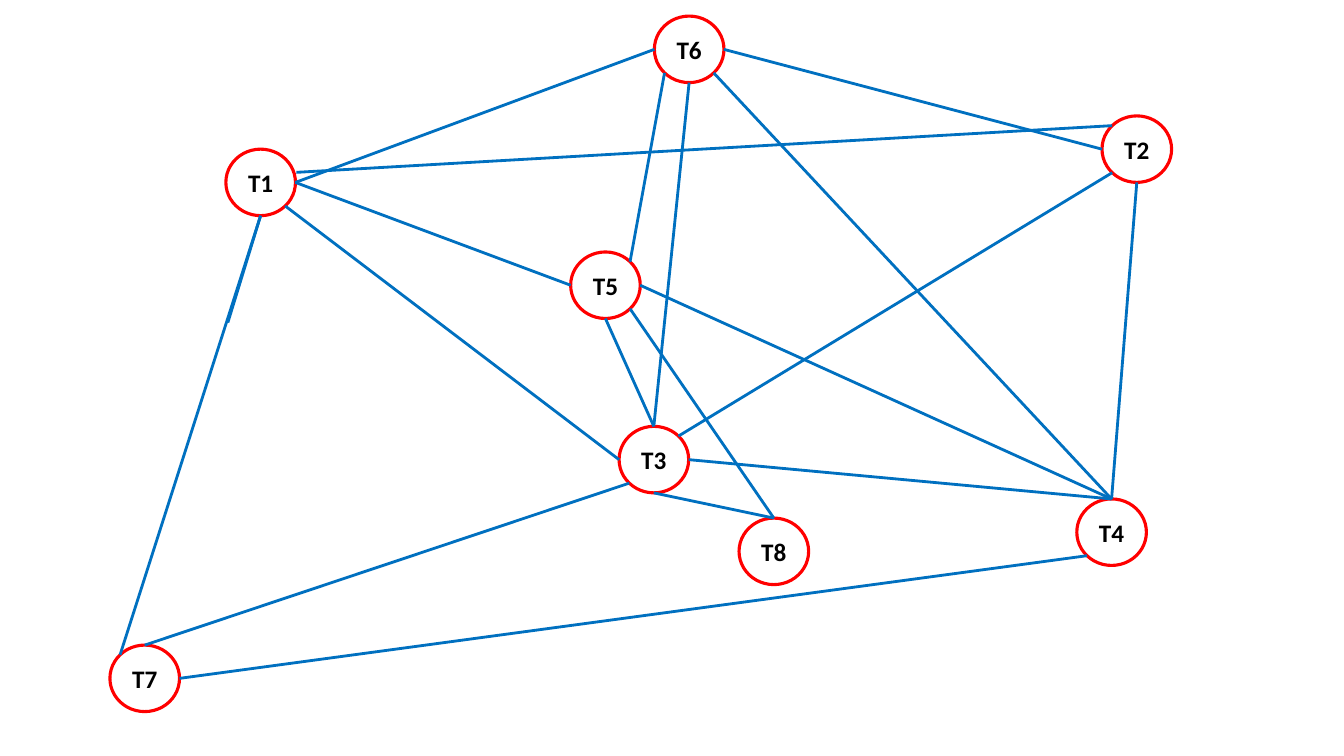
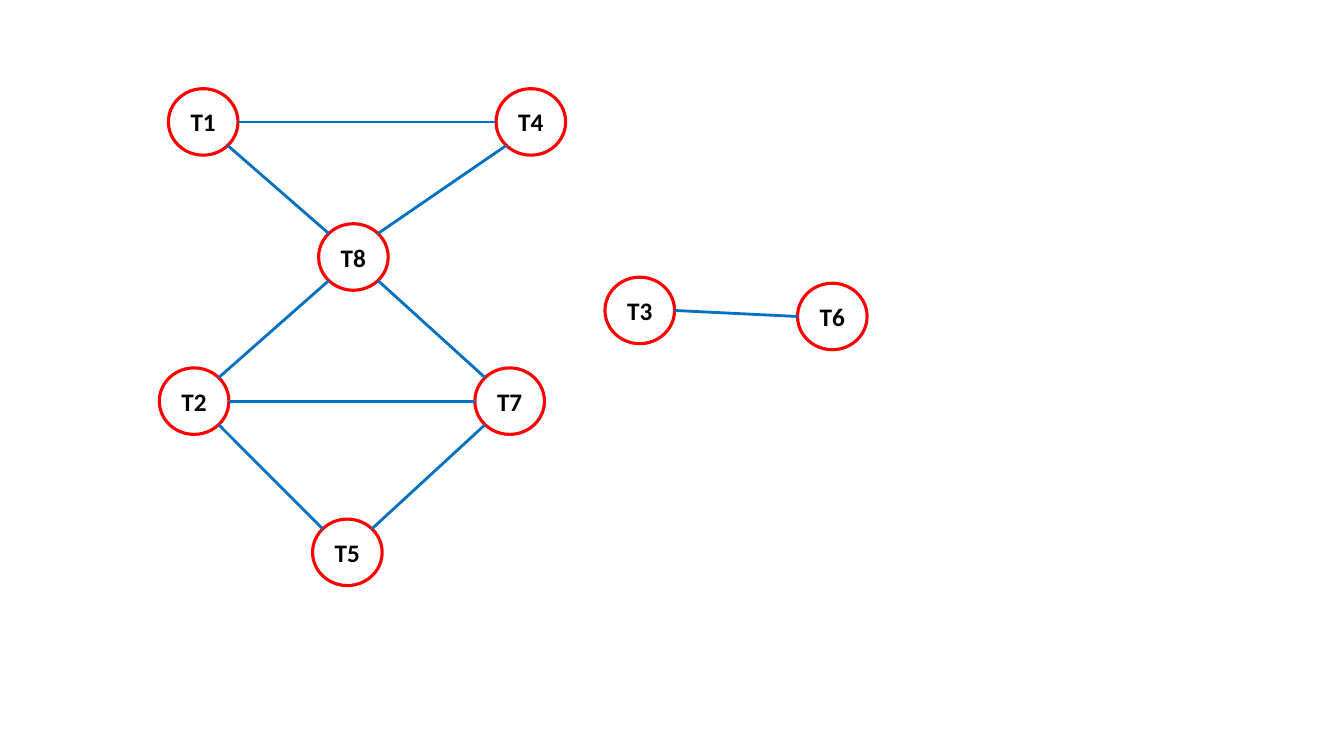
from dataclasses import dataclass
from math import sqrt

from lxml.etree import SubElement
from pptx import Presentation
from pptx.dml.color import RGBColor
from pptx.enum.shapes import MSO_CONNECTOR, MSO_SHAPE
from pptx.enum.text import MSO_ANCHOR, PP_ALIGN
from pptx.oxml.ns import qn
from pptx.util import Inches, Pt


@dataclass(frozen=True)
class Theme:
    ring: RGBColor = RGBColor(0xFF, 0x00, 0x00)
    edge: RGBColor = RGBColor(0x00, 0x70, 0xC0)
    ink: RGBColor = RGBColor(0x00, 0x00, 0x00)
    font: str = "Calibri"
    label_size: float = 18
    ring_width: float = 2.25
    edge_width: float = 2
    node_width: float = 0.69
    node_height: float = 0.66


# Ellipse connection sites: index and direction from the centre
DIAGONAL = sqrt(0.5)
SITES = {
    "top": (0, 0, -1),
    "top left": (1, -DIAGONAL, -DIAGONAL),
    "left": (2, -1, 0),
    "bottom left": (3, -DIAGONAL, DIAGONAL),
    "bottom": (4, 0, 1),
    "bottom right": (5, DIAGONAL, DIAGONAL),
    "right": (6, 1, 0),
    "top right": (7, DIAGONAL, -DIAGONAL),
}


def write_text(shape, text, *, font, size, color, bold=False, align=PP_ALIGN.CENTER):
    frame = shape.text_frame
    frame.word_wrap = False
    frame.vertical_anchor = MSO_ANCHOR.MIDDLE
    para = frame.paragraphs[0]
    para.alignment = align
    span = para.add_run()
    span.text = text
    span.font.name = font
    span.font.size = Pt(size)
    span.font.bold = bold
    span.font.color.rgb = color


class GraphDeck:
    def __init__(self, theme):
        self.theme = theme
        self.deck = Presentation()
        self.deck.slide_width = Inches(13.33)
        self.deck.slide_height = Inches(7.5)

    def add_page(self):
        self.page = self.deck.slides.add_slide(self.deck.slide_layouts[6])
        self.nodes = {}

    def add_node(self, name, left, top):
        theme = self.theme
        node = self.page.shapes.add_shape(
            MSO_SHAPE.OVAL, Inches(left), Inches(top),
            Inches(theme.node_width), Inches(theme.node_height))
        node.shadow.inherit = False
        node.fill.background()
        node.line.color.rgb = theme.ring
        node.line.width = Pt(theme.ring_width)
        write_text(node, name, font=theme.font, size=theme.label_size,
                   color=theme.ink, bold=True)
        self.nodes[name] = node

    def locate(self, end):
        """Return x and y for a (node, site) pair or a free point in inches."""
        if end[0] not in self.nodes:
            return Inches(end[0]), Inches(end[1])
        node = self.nodes[end[0]]
        _, across, down = SITES[end[1]]
        return (round(node.left + node.width * (1 + across) / 2),
                round(node.top + node.height * (1 + down) / 2))

    def add_edge(self, start, finish):
        edge = self.page.shapes.add_connector(
            MSO_CONNECTOR.STRAIGHT, *self.locate(start), *self.locate(finish))
        edge.line.color.rgb = self.theme.edge
        edge.line.width = Pt(self.theme.edge_width)
        SubElement(edge._element.spPr, qn("a:effectLst"))
        # Attach the ends that sit on a node
        links = edge._element.find(".//" + qn("p:cNvCxnSpPr"))
        for tag, end in (("a:stCxn", start), ("a:endCxn", finish)):
            if end[0] in self.nodes:
                SubElement(links, qn(tag), id=str(self.nodes[end[0]].shape_id),
                           idx=str(SITES[end[1]][0]))

    def add_graph(self, nodes, edges):
        self.add_page()
        for name, (left, top) in nodes.items():
            self.add_node(name, left, top)
        for start, finish in edges:
            self.add_edge(start, finish)


# Dense graph
DENSE_NODES = {
    "T8": (7.33, 5.14), "T3": (6.14, 4.23), "T2": (10.93, 1.15), "T4": (10.68, 4.95),
    "T6": (6.49, 0.16), "T7": (1.09, 6.4), "T5": (5.66, 2.5), "T1": (2.24, 1.48),
}
DENSE_EDGES = [
    (("T1", "bottom"), (2.26, 3.2)),
    (("T1", "bottom right"), ("T3", "left")),
    (("T1", "right"), ("T5", "left")),
    (("T1", "right"), ("T6", "left")),
    (("T1", "bottom"), ("T7", "top left")),
    (("T3", "right"), ("T4", "top")),
    (("T3", "bottom left"), ("T7", "top")),
    (("T3", "bottom"), ("T8", "top")),
    (("T3", "top"), ("T5", "bottom")),
    ((2.94, 1.71), ("T2", "top left")),
    (("T2", "left"), ("T6", "right")),
    (("T2", "bottom"), ("T4", "top")),
    (("T2", "bottom left"), ("T3", "top right")),
    (("T3", "top"), ("T6", "bottom")),
    (("T6", "bottom right"), ("T4", "top")),
    (("T5", "right"), ("T4", "top")),
    (("T7", "right"), ("T4", "bottom left")),
    (("T5", "top right"), ("T6", "bottom left")),
    (("T8", "top"), ("T5", "bottom right")),
]

# Graph in two separate parts
SPLIT_NODES = {
    "T8": (3.16, 2.22), "T3": (6, 2.75), "T2": (1.58, 3.65), "T4": (4.92, 0.88),
    "T6": (7.91, 2.81), "T7": (4.71, 3.65), "T5": (3.1, 5.15), "T1": (1.67, 0.88),
}
SPLIT_EDGES = [
    (("T8", "top left"), ("T1", "bottom right")),
    (("T2", "bottom right"), ("T5", "top left")),
    (("T4", "left"), ("T1", "right")),
    (("T2", "right"), ("T7", "left")),
    (("T2", "top right"), ("T8", "bottom left")),
    (("T3", "right"), ("T6", "left")),
    (("T8", "top right"), ("T4", "bottom left")),
    (("T7", "bottom left"), ("T5", "top right")),
    (("T7", "top left"), ("T8", "bottom right")),
]

graphs = GraphDeck(Theme())
graphs.add_graph(DENSE_NODES, DENSE_EDGES)
graphs.add_graph(SPLIT_NODES, SPLIT_EDGES)
graphs.deck.save("out.pptx")
